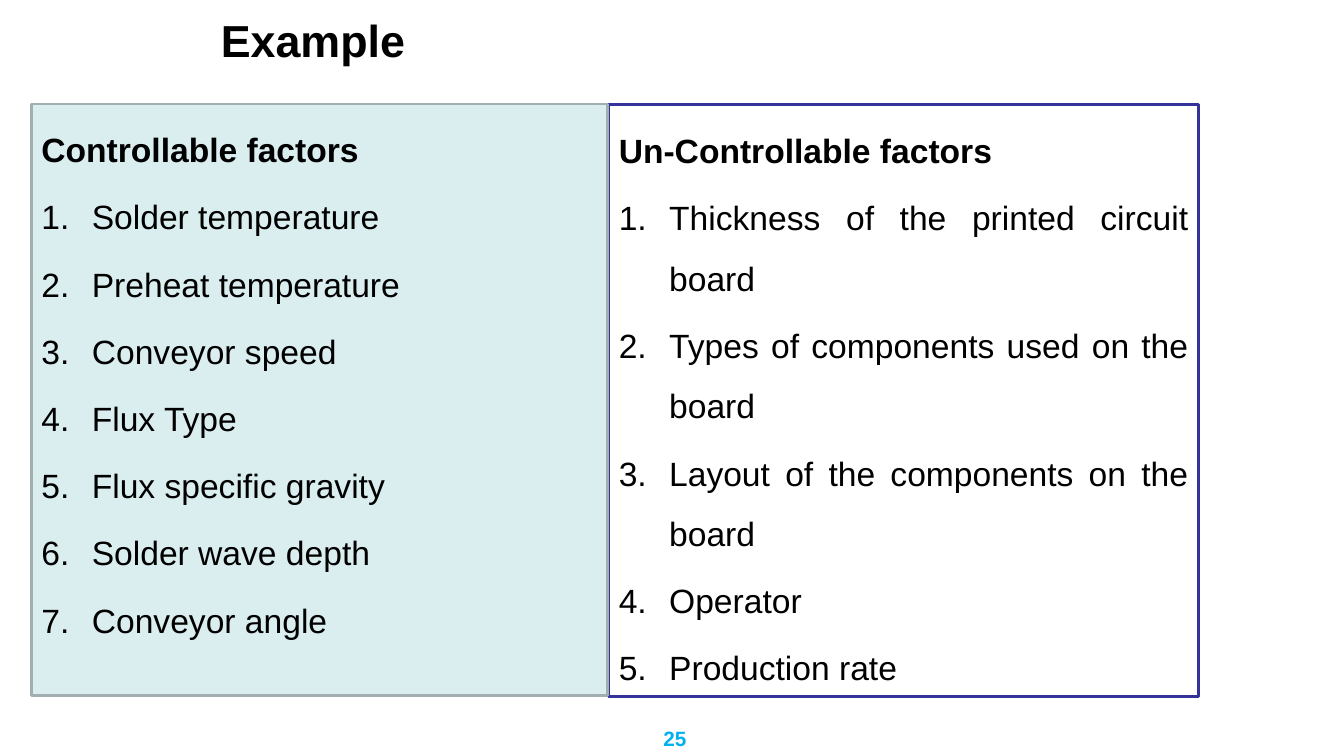
from pptx import Presentation
from pptx.dml.color import RGBColor
from pptx.enum.text import MSO_ANCHOR, MSO_AUTO_SIZE, PP_ALIGN
from pptx.util import Cm, Pt
from lxml.etree import SubElement
from pptx.oxml.ns import qn

BLACK = RGBColor(0x00, 0x00, 0x00)
WHITE = RGBColor(0xFF, 0xFF, 0xFF)
NAVY = RGBColor(0x33, 0x33, 0x99)
PALE_TEAL = RGBColor(0xDA, 0xED, 0xEF)
GREY = RGBColor(0xA1, 0xAF, 0xB1)
SKY_BLUE = RGBColor(0x00, 0xB0, 0xF0)

CONTROLLABLE = [
    "Solder temperature",
    "Preheat temperature",
    "Conveyor speed",
    "Flux Type",
    "Flux specific gravity",
    "Solder wave depth",
    "Conveyor angle",
]
UNCONTROLLABLE = [
    "Thickness of the printed circuit board",
    "Types of components used on the board",
    "Layout of the components on the board",
    "Operator",
    "Production rate",
]


def apply(target, values):
    for name, value in values.items():
        setattr(target, name, value)


class FactorSlide:
    font_name = "Arial"
    number_indent = Cm(1.27)
    list_format = {"alignment": PP_ALIGN.JUSTIFY, "line_spacing": 1.5}

    def __init__(self, presentation):
        self.slide = presentation.slides.add_slide(presentation.slide_layouts[3])

    def place(self, shape, left, top, width, height):
        apply(shape, {"left": Cm(left), "top": Cm(top),
                      "width": Cm(width), "height": Cm(height)})

    def add_text(self, paragraph, text, size, color=BLACK, bold=True):
        run = paragraph.add_run()
        run.text = text
        apply(run.font, {"name": self.font_name, "size": Pt(size), "bold": bold})
        run.font.color.rgb = color

    def add_title(self, text, box):
        shape = self.slide.shapes.title
        self.place(shape, *box)
        apply(shape.text_frame, {"vertical_anchor": MSO_ANCHOR.MIDDLE,
                                 "auto_size": MSO_AUTO_SIZE.NONE})
        paragraph = shape.text_frame.paragraphs[0]
        paragraph.alignment = PP_ALIGN.LEFT
        self.add_text(paragraph, text, 32)

    def add_panel(self, index, heading, factors, box, fill, line):
        shape = self.slide.placeholders[index]
        self.place(shape, *box)
        shape.fill.solid()
        shape.fill.fore_color.rgb = fill
        shape.line.color.rgb = line
        shape.line.width = Pt(2)
        frame = shape.text_frame
        apply(frame, {"word_wrap": True, "vertical_anchor": MSO_ANCHOR.TOP,
                      "auto_size": MSO_AUTO_SIZE.NONE})
        for position, text in enumerate([heading] + factors):
            is_heading = position == 0
            paragraph = frame.paragraphs[0] if is_heading else frame.add_paragraph()
            self.set_numbering(paragraph, not is_heading)
            apply(paragraph, self.list_format)
            paragraph.space_before = Pt(0 if is_heading else 4.8)
            self.add_text(paragraph, text, 24, bold=is_heading)

    def set_numbering(self, paragraph, numbered):
        properties = paragraph._p.get_or_add_pPr()
        indent = self.number_indent if numbered else 0
        properties.set("marL", str(indent))
        properties.set("indent", str(-indent))
        if numbered:
            SubElement(properties, qn("a:buFont")).set("typeface", self.font_name)
            SubElement(properties, qn("a:buAutoNum")).set("type", "arabicPeriod")
        else:
            SubElement(properties, qn("a:buNone"))

    def add_page_number(self, text, box):
        shape = self.slide.shapes.add_textbox(*map(Cm, box))
        shape.text_frame.word_wrap = True
        paragraph = shape.text_frame.paragraphs[0]
        paragraph.alignment = PP_ALIGN.CENTER
        self.add_text(paragraph, text, 14.8, SKY_BLUE)


def main():
    presentation = Presentation()
    apply(presentation, {"slide_width": Cm(33.87), "slide_height": Cm(19.05)})
    slide = FactorSlide(presentation)
    slide.add_title("Example", (5.31, 0.41, 28.52, 1.19))
    slide.add_panel(1, "Un-Controllable factors", UNCONTROLLABLE,
                    (15.34, 2.64, 14.86, 14.91), WHITE, NAVY)
    slide.add_panel(2, "Controllable factors", CONTROLLABLE,
                    (0.79, 2.62, 14.53, 14.91), PALE_TEAL, GREY)
    slide.add_page_number("25", (15.65, 18.16, 2.72, 0.89))
    presentation.save("out.pptx")


if __name__ == "__main__":
    main()
